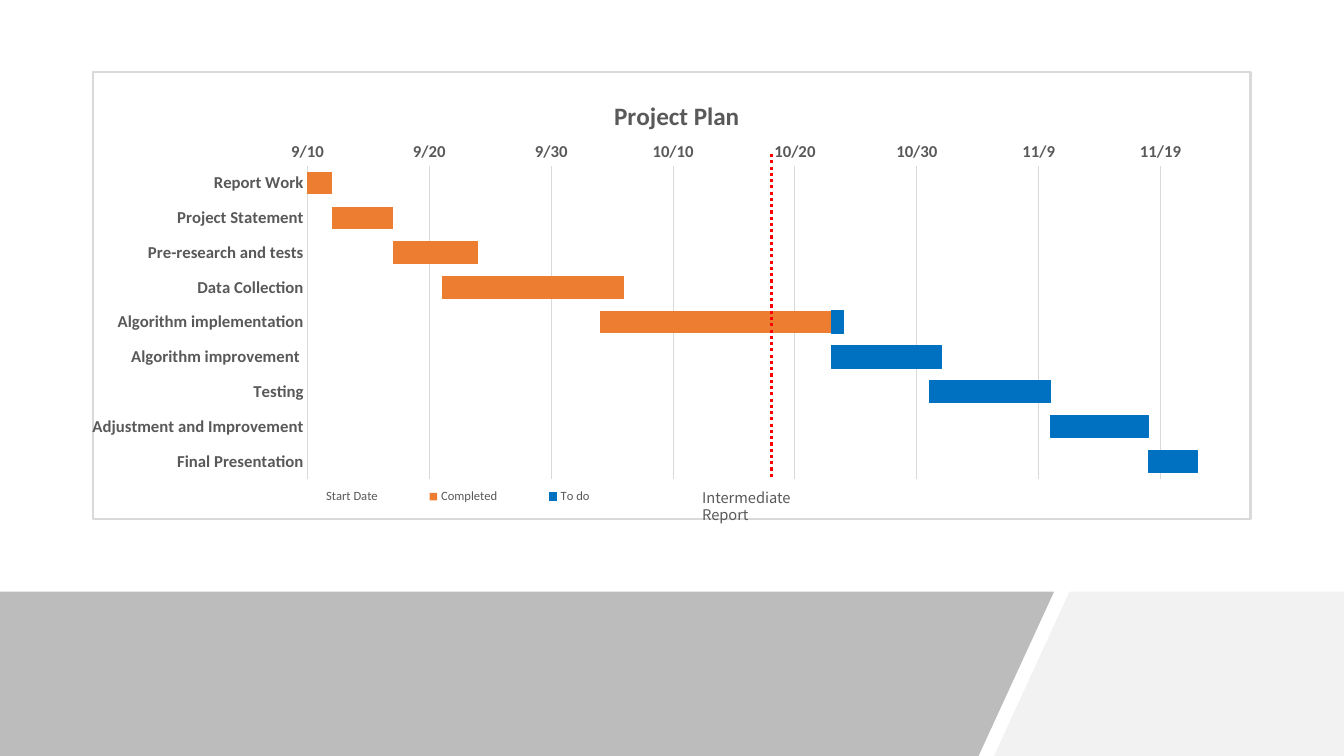
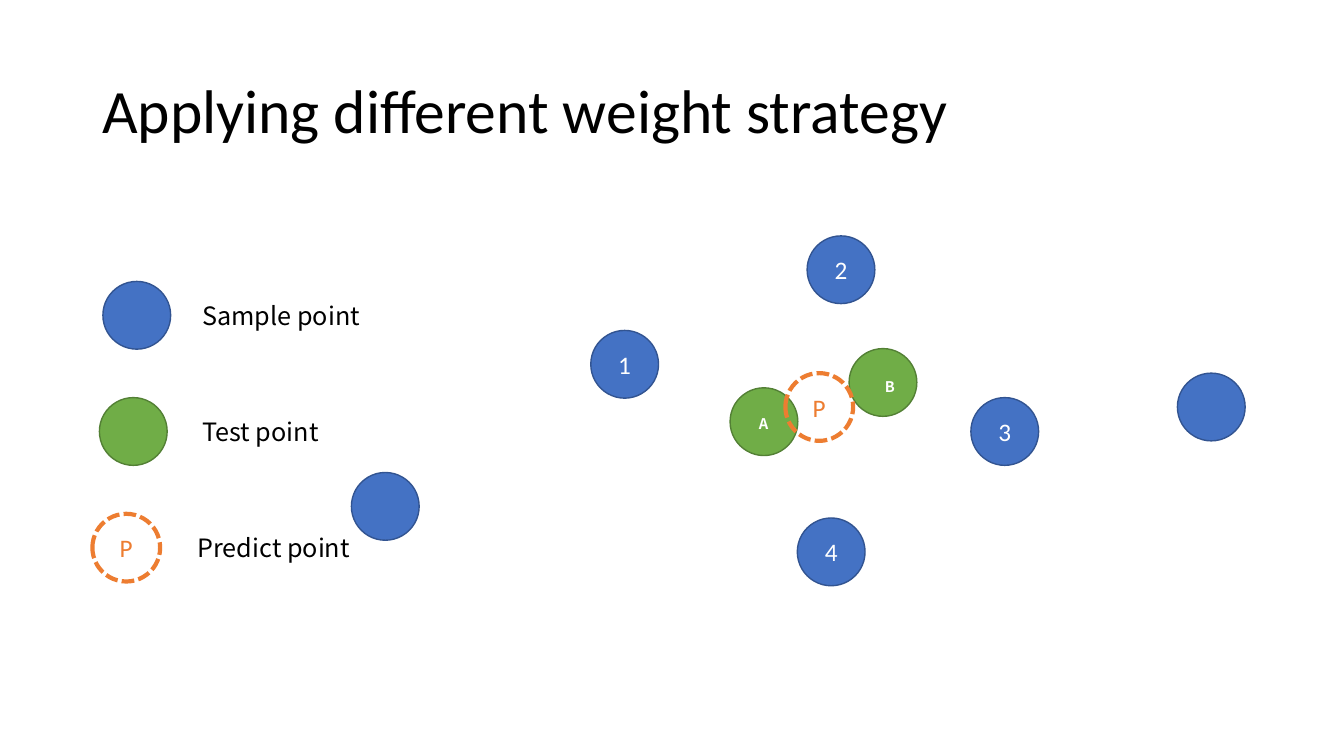
from dataclasses import dataclass
from typing import NamedTuple, Optional

from lxml.etree import SubElement
from pptx import Presentation
from pptx.chart.data import CategoryChartData as ChartData
from pptx.dml.color import RGBColor as RGB
from pptx.enum.chart import XL_CHART_TYPE as Kind
from pptx.enum.chart import XL_LEGEND_POSITION as Spot
from pptx.enum.chart import XL_TICK_MARK as Tick
from pptx.enum.dml import MSO_LINE as Dash
from pptx.enum.shapes import MSO_CONNECTOR as Link
from pptx.enum.shapes import MSO_SHAPE as Form
from pptx.enum.text import MSO_ANCHOR as Anchor
from pptx.enum.text import MSO_AUTO_SIZE as Fit
from pptx.enum.text import PP_ALIGN as Align
from pptx.oxml import parse_xml
from pptx.oxml.ns import nsdecls, qn
from pptx.util import Pt


@dataclass(frozen=True)
class Theme:
    white: str = "FFFFFF"
    black: str = "000000"
    grey: str = "595959"
    pale: str = "F2F2F2"
    rule: str = "D9D9D9"
    red: str = "FF0000"
    orange: str = "ED7D31"
    todo: str = "0070C0"
    blue: str = "4472C4"
    navy: str = "325491"
    green: str = "70AD47"
    moss: str = "538035"
    latin: str = "Calibri"
    sans: str = "Noto Sans CJK SC"
    head: float = 44
    body: float = 18
    axis: float = 12
    note: float = 10.5
    key: float = 9


T = Theme()
WIDE, HIGH = 960, 540
DOT = 48.4
DAY = 43353  # date serial of 9/10


class Box(NamedTuple):
    left: float
    top: float
    width: float
    height: float


class Task(NamedTuple):
    name: str
    start: int  # days after the first date
    done: int
    todo: int


class Look(NamedTuple):
    fill: Optional[str]
    line: str
    weight: float
    font: str


class Dot(NamedTuple):
    look: Look
    left: float
    top: float
    text: str = ""


class Label(NamedTuple):
    text: str
    box: Box
    size: float = T.body
    color: str = T.black
    bold: bool = False
    font: str = T.sans


SAMPLE = Look(T.blue, T.navy, 1, T.white)
TEST = Look(T.green, T.moss, 1, T.white)
GUESS = Look(None, T.orange, 3, T.orange)

TASKS = [
    Task("Report Work", 0, 2, 0),
    Task("Project Statement", 2, 5, 0),
    Task("Pre-research and tests", 7, 7, 0),
    Task("Data Collection", 11, 15, 0),
    Task("Algorithm implementation", 24, 19, 1),
    Task("Algorithm improvement ", 43, 0, 9),
    Task("Testing", 51, 0, 10),
    Task("Adjustment and Improvement", 61, 0, 8),
    Task("Final Presentation", 69, 0, 4),
]

DOTS = [
    Dot(TEST, 521.5, 277),
    Dot(SAMPLE, 73.5, 201),
    Dot(SAMPLE, 422, 236, "1"),
    Dot(SAMPLE, 569.5, 370, "4"),
    Dot(SAMPLE, 576.5, 168.5, "2"),
    Dot(SAMPLE, 693.5, 284, "3"),
    Dot(TEST, 606.5, 249),
    Dot(SAMPLE, 841, 266.5),
    Dot(TEST, 71, 284),
    Dot(SAMPLE, 251, 337.5),
    Dot(GUESS, 561, 266.5, "P"),
    Dot(GUESS, 66, 367, "P"),
]

LABELS = [
    Label("Sample point", Box(137.5, 211, 234, 29)),
    Label("Test point", Box(137.5, 294, 234, 29)),
    Label("Predict point", Box(134, 376.5, 234, 29)),
    Label("A", Box(535, 293, 59, 68), T.note, T.white, True),
    Label("B", Box(625, 266, 59, 68), T.note, T.white, True),
]


# Shared helpers
def rgb(code: str) -> RGB:
    return RGB.from_string(code)


def style(font, size: float, color: str, bold: bool = False, name: str = T.latin) -> None:
    font.size, font.bold, font.name = Pt(size), bold, name
    font.color.rgb = rgb(color)


def paint(fill, color: Optional[str]) -> None:
    if color is None:
        fill.background()
    else:
        fill.solid()
        fill.fore_color.rgb = rgb(color)


def stroke(line, color: str, weight: float) -> None:
    line.color.rgb = rgb(color)
    line.width = Pt(weight)


def write(slide, label: Label):
    shape = slide.shapes.add_textbox(*map(Pt, label.box))
    frame = shape.text_frame
    frame.word_wrap = True
    frame.text = label.text
    style(frame.paragraphs[0].font, label.size, label.color, label.bold, label.font)
    return frame


def band(slide, points: list, color: str, alpha: int = 100) -> None:
    first, *rest = [(Pt(x), Pt(y)) for x, y in points]
    pen = slide.shapes.build_freeform(*first)
    pen.add_line_segments(rest)
    shape = pen.convert_to_shape()
    shape.shadow.inherit = False
    paint(shape.fill, color)
    shape.line.fill.background()
    if alpha < 100:
        tint = shape.fill._xPr.find(".//" + qn("a:srgbClr"))
        SubElement(tint, qn("a:alpha"), val=str(alpha * 1000))


def draw(slide, dot: Dot) -> None:
    shape = slide.shapes.add_shape(Form.OVAL, Pt(dot.left), Pt(dot.top), Pt(DOT), Pt(DOT))
    shape.shadow.inherit = False
    paint(shape.fill, dot.look.fill)
    stroke(shape.line, dot.look.line, dot.look.weight)
    if dot.look.fill is None:
        shape.line.dash_style = Dash.SQUARE_DOT
    if dot.text:
        frame = shape.text_frame
        frame.margin_left = frame.margin_right = 0
        frame.vertical_anchor = Anchor.MIDDLE
        frame.text = dot.text
        para = frame.paragraphs[0]
        para.alignment = Align.CENTER
        style(para.font, T.body, dot.look.font)


# Chart
def place(node, index: int, **frac: float) -> None:
    """Set a manual layout, in fractions of the chart."""
    for old in node.findall(qn("c:layout")):
        node.remove(old)
    layout = parse_xml(f"<c:layout {nsdecls('c')}><c:manualLayout/></c:layout>")
    manual = layout[0]
    if index == 0:
        SubElement(manual, qn("c:layoutTarget"), val="inner")
    for mode in ("xMode", "yMode"):
        SubElement(manual, qn(f"c:{mode}"), val="edge")
    for name, value in frac.items():
        SubElement(manual, qn(f"c:{name}"), val=str(value))
    node.insert(index, layout)


def gantt(slide, box: Box) -> None:
    data = ChartData(number_format="General")
    data.categories = [t.name for t in TASKS]
    data.add_series("Start Date", [DAY + t.start for t in TASKS])
    data.add_series("Completed", [t.done for t in TASKS])
    data.add_series("To do", [t.todo for t in TASKS])
    chart = slide.shapes.add_chart(Kind.BAR_STACKED, *map(Pt, box), data).chart
    style(chart.font, 10, T.black)

    # Bars
    plot = chart.plots[0]
    plot.gap_width, plot.overlap, plot.vary_by_categories = 55, 100, False
    for series, color in zip(plot.series, (None, T.orange, T.todo)):
        paint(series.format.fill, color)
    stroke(plot.series[2].format.line, T.todo, 0.75)

    # Axes
    cats, dates = chart.category_axis, chart.value_axis
    for axis in (cats, dates):
        axis.major_tick_mark = axis.minor_tick_mark = Tick.NONE
        style(axis.tick_labels.font, T.axis, T.grey, True)
    cats.reverse_order = True
    stroke(cats.format.line, T.rule, 0.75)
    dates.minimum_scale, dates.maximum_scale, dates.major_unit = DAY, DAY + 75, 10
    dates.tick_labels.number_format = "m/d;@"
    dates.tick_labels.number_format_is_linked = False
    dates.format.line.fill.background()
    stroke(dates.major_gridlines.format.line, T.rule, 0.75)

    # Title and legend
    chart.has_title = chart.has_legend = True
    frame = chart.chart_title.text_frame
    frame.text = "Project Plan"
    style(frame.paragraphs[0].font, T.body, T.grey, True)
    chart.legend.position = Spot.BOTTOM
    chart.legend.include_in_layout = False
    style(chart.legend.font, T.key, T.grey)

    # Layout and frame
    root = chart._chartSpace
    body = root.find(qn("c:chart"))
    place(body.find(qn("c:plotArea")), 0, x=0.185, y=0.21, w=0.79, h=0.7)
    place(body.find(qn("c:title")), 1, x=0.446, y=0.05)
    place(body.find(qn("c:legend")), 1, x=0.15, y=0.92, w=0.32, h=0.06)
    body.addnext(parse_xml(
        f"<c:spPr {nsdecls('c', 'a')}>"
        f'<a:solidFill><a:srgbClr val="{T.white}"/></a:solidFill>'
        f'<a:ln w="{Pt(1.5)}"><a:solidFill><a:srgbClr val="{T.rule}"/></a:solidFill></a:ln>'
        "</c:spPr>"))


# Slides
def plan(slide) -> None:
    top = 422.5
    band(slide, [(764, top), (WIDE, top), (WIDE, HIGH), (710, HIGH)], T.pale)
    band(slide, [(0, top), (753, top), (699, HIGH), (0, HIGH)], T.grey, 40)
    gantt(slide, Box(66, 50.5, 828, 321))
    today = slide.shapes.add_connector(Link.STRAIGHT, Pt(551), Pt(110), Pt(551), Pt(341))
    stroke(today.line, T.red, 2.25)
    today.line.dash_style = Dash.ROUND_DOT
    SubElement(today._element.spPr, qn("a:effectLst"))
    frame = write(slide, Label("Intermediate Report", Box(494.5, 345.5, 107, 24), T.note, T.grey))
    frame.auto_size = Fit.SHAPE_TO_FIT_TEXT


def weights(slide) -> None:
    title = Label("Applying different weight strategy", Box(66, 29, 828, 104),
                  T.head, font=T.latin)
    frame = write(slide, title)
    frame.vertical_anchor = Anchor.MIDDLE
    frame.paragraphs[0].line_spacing = 0.9
    for dot in DOTS:
        draw(slide, dot)
    for label in LABELS:
        write(slide, label)


def main() -> None:
    deck = Presentation()
    deck.slide_width, deck.slide_height = Pt(WIDE), Pt(HIGH)
    for build in (plan, weights):
        build(deck.slides.add_slide(deck.slide_layouts[6]))
    deck.save("out.pptx")


if __name__ == "__main__":
    main()
